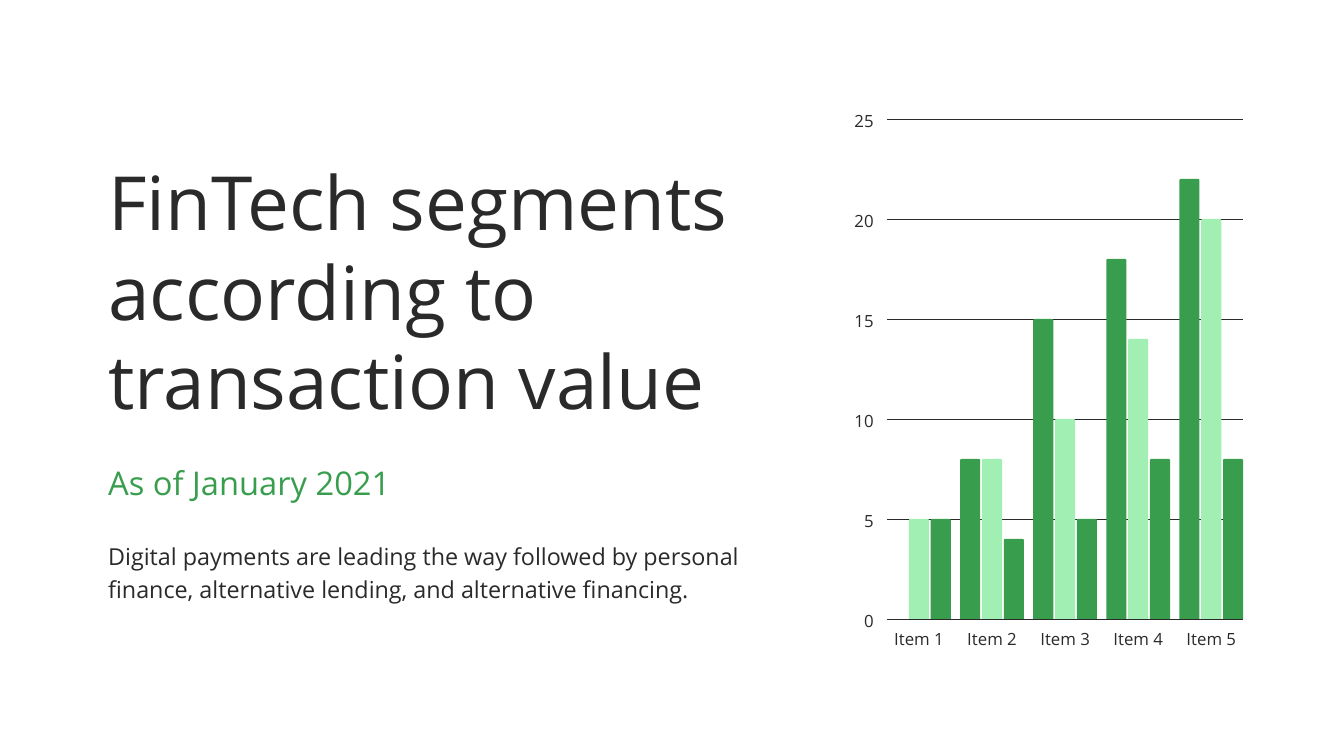
from lxml import etree
from pptx import Presentation
from pptx import util as u
from pptx.dml.color import RGBColor
from pptx.enum import shapes, text
from pptx.oxml.ns import qn

INK, GREEN, MINT = "2A2A2A", "399D4E", "A1EFB2"

# Bar groups: one row for each item, one value for each bar.
ITEMS = [(0, 5, 5), (8, 8, 4), (15, 10, 5), (18, 14, 8), (22, 20, 8)]
BAR_COLOURS = (GREEN, MINT, GREEN)
SCALE_MAX, SCALE_STEP = 25, 5

PLOT_LEFT, PLOT_RIGHT = 13.2, 18.5
PLOT_TOP, PLOT_BOTTOM = 1.77, 9.21
BAR_WIDTH, BAR_GAP = 0.3, 0.025
GROUP_WIDTH = 3 * BAR_WIDTH + 2 * BAR_GAP
GROUP_PITCH = (PLOT_RIGHT - PLOT_LEFT - GROUP_WIDTH) / (len(ITEMS) - 1)


def colour(hex_code):
    return RGBColor.from_string(hex_code)


def level(value):
    """Return the height on the page, in inches, of a value on the scale."""
    return PLOT_BOTTOM - value / SCALE_MAX * (PLOT_BOTTOM - PLOT_TOP)


class SlideBuilder:
    font_name = "Open Sans"

    def __init__(self, page):
        self.page = page

    def text(self, words, left, top, width, height, size, spacing,
             hex_code=INK, align=text.PP_ALIGN.LEFT):
        box = self.page.shapes.add_textbox(*map(u.Inches, (left, top, width, height)))
        frame = box.text_frame
        frame.word_wrap = True
        frame.margin_left = frame.margin_right = frame.margin_top = frame.margin_bottom = 0
        para = frame.paragraphs[0]
        para.text = words
        para.alignment = align
        para.line_spacing = u.Pt(spacing)
        para.font.name = self.font_name
        para.font.size = u.Pt(size)
        para.font.color.rgb = colour(hex_code)

    def grid_line(self, top):
        line = self.page.shapes.add_connector(
            shapes.MSO_CONNECTOR.STRAIGHT,
            *map(u.Inches, (PLOT_LEFT, top, PLOT_RIGHT, top)))
        line.line.color.rgb = colour(INK)
        line.line.width = u.Pt(0.75)
        etree.SubElement(line._element.spPr, qn("a:effectLst"))

    def bar(self, left, value, hex_code):
        top = level(value)
        bar = self.page.shapes.add_shape(
            shapes.MSO_SHAPE.ROUND_2_SAME_RECTANGLE,
            *map(u.Inches, (left, top, BAR_WIDTH, PLOT_BOTTOM - top)))
        bar.adjustments[0] = 0.08
        bar.shadow.inherit = False
        bar.fill.solid()
        bar.fill.fore_color.rgb = colour(hex_code)
        bar.line.fill.background()


def main():
    deck = Presentation()
    deck.slide_width, deck.slide_height = u.Inches(20), u.Inches(11.25)
    builder = SlideBuilder(deck.slides.add_slide(deck.slide_layouts[6]))

    left, width = 1.61, 9.49
    builder.text("FinTech segments according to transaction value",
                 left, 2.32, width, 4, 80, 96)
    builder.text("Digital payments are leading the way followed by personal finance, "
                 "alternative lending, and alternative financing.",
                 left, 8, width, 0.93, 25, 35)
    builder.text("As of January 2021", left, 6.89, width, 0.58, 35, 42, GREEN)

    for value in range(SCALE_MAX, -1, -SCALE_STEP):
        builder.grid_line(level(value))
        builder.text(str(value), 12.65, level(value) - 0.17, 0.35, 0.32, 18, 25.2,
                     align=text.PP_ALIGN.RIGHT)

    for index, values in enumerate(ITEMS):
        group_left = PLOT_LEFT + index * GROUP_PITCH
        builder.text(f"Item {index + 1}", group_left, 9.31, GROUP_WIDTH, 0.32, 18, 25.2,
                     align=text.PP_ALIGN.CENTER)
        for place, (value, hex_code) in enumerate(zip(values, BAR_COLOURS)):
            if value:
                builder.bar(group_left + place * (BAR_WIDTH + BAR_GAP), value, hex_code)
    deck.save("out.pptx")


if __name__ == "__main__":
    main()
